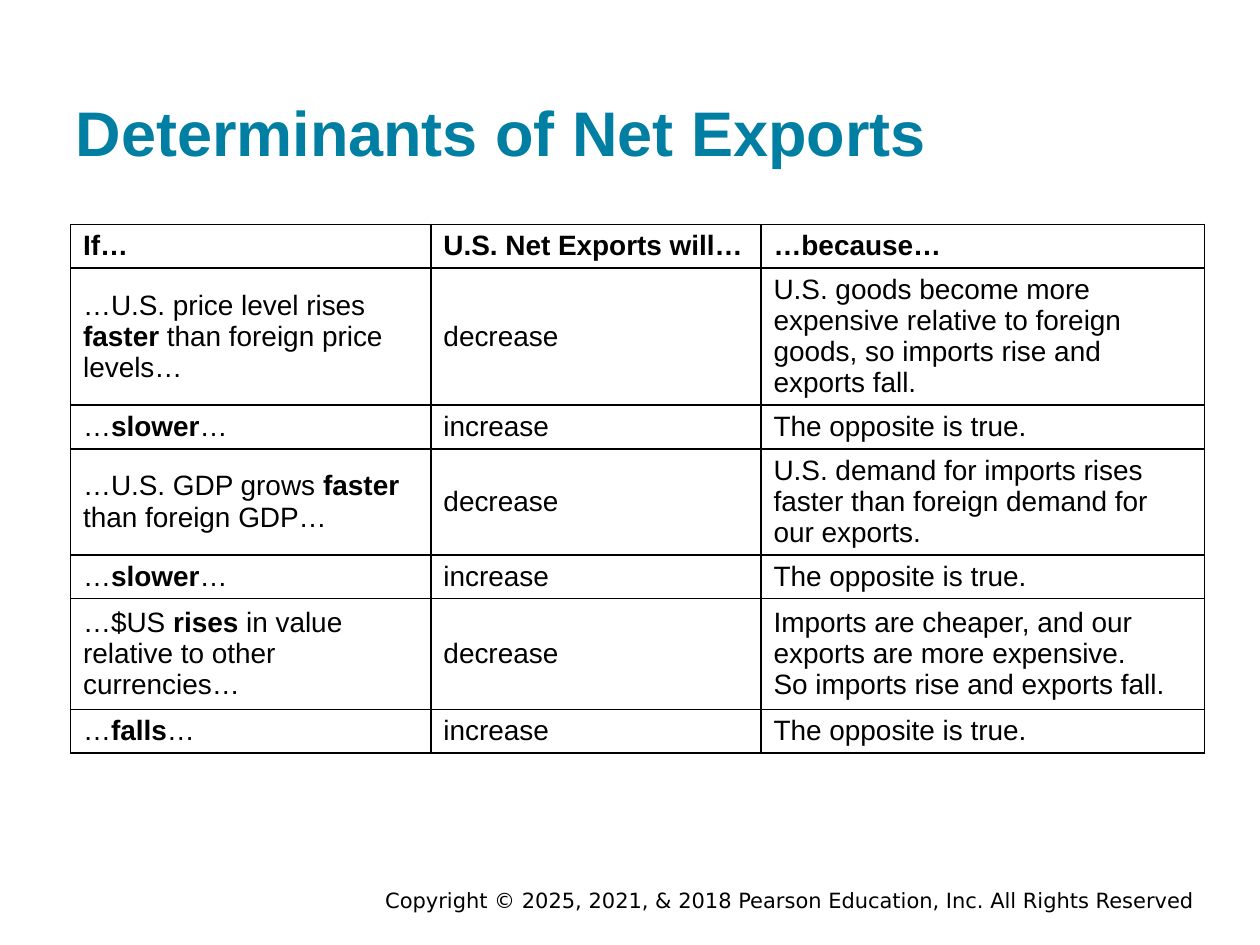
from dataclasses import dataclass

from lxml import etree
from pptx import Presentation
from pptx.dml.color import RGBColor
from pptx.enum.text import MSO_ANCHOR, MSO_AUTO_SIZE, PP_ALIGN
from pptx.oxml.ns import qn
from pptx.util import Inches, Pt

TOP, MIDDLE, BOTTOM = MSO_ANCHOR.TOP, MSO_ANCHOR.MIDDLE, MSO_ANCHOR.BOTTOM
LEFT, RIGHT = PP_ALIGN.LEFT, PP_ALIGN.RIGHT
NO_FIT = MSO_AUTO_SIZE.NONE
TITLE_ONLY = 5
GRID_COLUMNS, GRID_ROWS = 100, 75


@dataclass(frozen=True)
class Theme:
    ink: str = "000000"
    accent: str = "007FA3"
    paper: str = "FFFFFF"
    font: str = "Arial"
    footer_font: str = "DejaVu Sans"
    title_size: int = 36
    table_size: int = 16
    footer_size: int = 12
    border: int = 1


class SlideBuilder:
    def __init__(self, deck, theme):
        self.theme = theme
        self.column = deck.slide_width / GRID_COLUMNS
        self.row = deck.slide_height / GRID_ROWS
        self.slide = deck.slides.add_slide(deck.slide_layouts[TITLE_ONLY])
        background = self.slide.background.fill
        background.solid()
        background.fore_color.rgb = RGBColor.from_string(theme.paper)

    def area(self, left, top, width, height):
        return (round(left * self.column), round(top * self.row),
                round(width * self.column), round(height * self.row))

    def style(self, para, name, size, color, bold=None, align=LEFT):
        para.alignment = align
        para.font.name = name
        para.font.size = Pt(size)
        para.font.bold = bold
        para.font.color.rgb = RGBColor.from_string(color)

    def frame(self, box, text, anchor, inset):
        frame = box.text_frame
        frame.word_wrap = True
        frame.auto_size = NO_FIT
        frame.vertical_anchor = anchor
        frame.margin_left = frame.margin_right = Inches(0.1)
        frame.margin_top = frame.margin_bottom = Inches(inset)
        frame.text = text
        return frame.paragraphs[0]

    def title(self, text, *area):
        box = self.slide.shapes.title
        box.left, box.top, box.width, box.height = self.area(*area)
        para = self.frame(box, text, BOTTOM, 0.1)
        self.style(para, self.theme.font, self.theme.title_size,
                   self.theme.accent, bold=True)

    def footer(self, text, *area):
        box = self.slide.shapes.add_textbox(*self.area(*area))
        para = self.frame(box, text, MIDDLE, 0.05)
        self.style(para, self.theme.footer_font, self.theme.footer_size,
                   self.theme.ink, align=RIGHT)

    def table(self, rows, left, top, widths, heights):
        area = self.area(left, top, sum(widths), sum(heights))
        table = self.slide.shapes.add_table(len(rows), len(widths), *area).table
        table.first_row = table.horz_banding = False
        for column, width in zip(table.columns, widths):
            column.width = round(width * self.column)
        for row, height in zip(table.rows, heights):
            row.height = round(height * self.row)
        for index, texts in enumerate(rows):
            for cell, text in zip(table.rows[index].cells, texts):
                self.cell(cell, text, header=index == 0)

    def cell(self, cell, text, header):
        """Lines become paragraphs; words between asterisks are bold."""
        cell.vertical_anchor = BOTTOM if header else MIDDLE
        self.borders(cell)
        cell.fill.background()
        for number, line in enumerate(text.split("\n")):
            frame = cell.text_frame
            para = frame.add_paragraph() if number else frame.paragraphs[0]
            self.style(para, self.theme.font, self.theme.table_size,
                       self.theme.ink, bold=header)
            for position, part in enumerate(line.split("*")):
                span = para.add_run()
                span.text = part
                if position % 2:
                    span.font.bold = True

    def borders(self, cell):
        properties = cell._tc.get_or_add_tcPr()
        for side in ("a:lnL", "a:lnR", "a:lnT", "a:lnB"):
            line = etree.SubElement(properties, qn(side),
                                    w=str(Pt(self.theme.border)))
            fill = etree.SubElement(line, qn("a:solidFill"))
            etree.SubElement(fill, qn("a:srgbClr"), val=self.theme.ink)


OPPOSITE = ("increase", "The opposite is true.")
DETERMINANTS = [
    ("If…", "U.S. Net Exports will…", "…because…"),
    ("…U.S. price level rises *faster* than foreign price levels…", "decrease",
     "U.S. goods become more expensive relative to foreign goods, "
     "so imports rise and exports fall."),
    ("…*slower*…", *OPPOSITE),
    ("…U.S. GDP grows *faster* than foreign GDP…", "decrease",
     "U.S. demand for imports rises faster than foreign demand "
     "for our exports."),
    ("…*slower*…", *OPPOSITE),
    ("…$US *rises* in value relative to other currencies…", "decrease",
     "Imports are cheaper, and our exports are more expensive.\n"
     "So imports rise and exports fall."),
    ("…*falls*…", *OPPOSITE),
]


def main():
    deck = Presentation()
    deck.slide_width, deck.slide_height = Inches(10), Inches(7.5)
    page = SlideBuilder(deck, Theme())

    # Heading
    page.title("Determinants of Net Exports", 5, 2.4, 90, 12)

    # Causes, effects and reasons
    page.table(DETERMINANTS, 5.6, 17.8, widths=(28.6, 26.2, 35.2),
               heights=(2.4, 8.4, 3.4, 8.4, 3.4, 8.8, 3.4))

    # Copyright line
    page.footer("Copyright © 2025, 2021, & 2018 Pearson Education, Inc. "
                "All Rights Reserved", 17.5, 70.3, 78.3, 2.2)

    deck.save("out.pptx")


if __name__ == "__main__":
    main()
